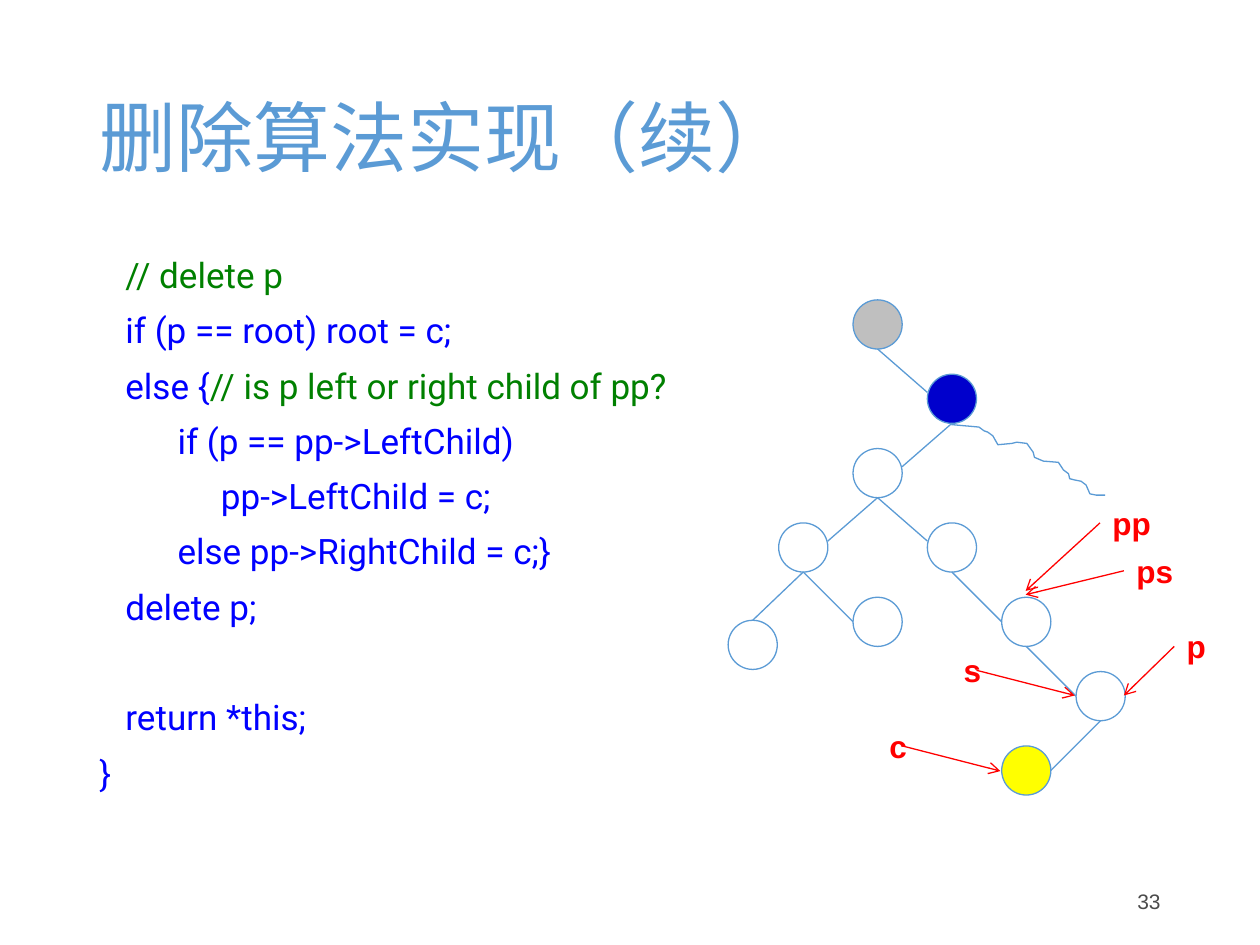
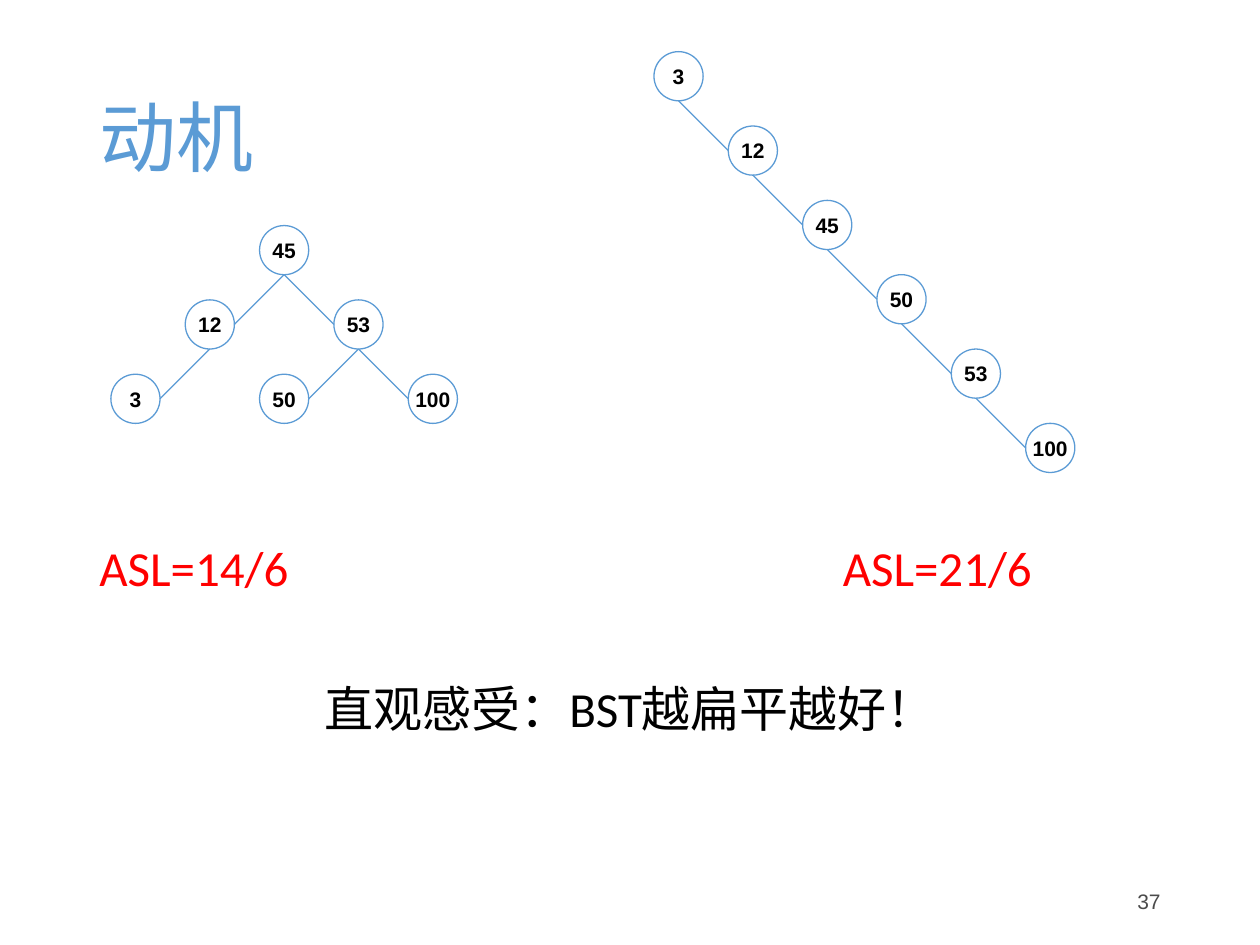
from lxml import etree
from pptx import Presentation
from pptx.dml.color import RGBColor
from pptx.enum.shapes import MSO_CONNECTOR, MSO_SHAPE
from pptx.enum.text import MSO_ANCHOR, PP_ALIGN
from pptx.oxml.ns import qn
from pptx.util import Inches, Pt

STRAIGHT = MSO_CONNECTOR.STRAIGHT
OVAL = MSO_SHAPE.OVAL
TOP, MIDDLE = MSO_ANCHOR.TOP, MSO_ANCHOR.MIDDLE
LEFT, CENTER, RIGHT = PP_ALIGN.LEFT, PP_ALIGN.CENTER, PP_ALIGN.RIGHT

SKY = RGBColor(0x5B, 0x9B, 0xD5)
GREEN = RGBColor(0x00, 0x80, 0x00)
BLUE = RGBColor(0x00, 0x00, 0xFF)
NAVY = RGBColor(0x00, 0x00, 0xCC)
YELLOW = RGBColor(0xFF, 0xFF, 0x00)
SILVER = RGBColor(0xBF, 0xBF, 0xBF)
RED = RGBColor(0xFF, 0x00, 0x00)
BLACK = RGBColor(0x00, 0x00, 0x00)
GRAY = RGBColor(0x4B, 0x4B, 0x4B)

NODE = 0.39
STEP = 0.59
LEFT_SIDE, RIGHT_SIDE = (0, 0.5), (1, 0.5)
UPPER_LEFT, UPPER_RIGHT = (0, 0.37), (1, 0.37)
TOP_POINT = (0.5, 0)


def add_text(slide, box, lines, font, size, anchor=TOP, align=LEFT, bold=False):
    frame = slide.shapes.add_textbox(*[Inches(v) for v in box]).text_frame
    frame.word_wrap = True
    frame.vertical_anchor = anchor
    for index, parts in enumerate(lines):
        paragraph = frame.add_paragraph() if index else frame.paragraphs[0]
        paragraph.alignment = align
        for text, color in parts:
            run = paragraph.add_run()
            run.text = text
            run.font.name = font
            run.font.size = Pt(size)
            run.font.bold = bold
            run.font.color.rgb = color
    return frame.paragraphs


def add_line(slide, start, end, color, arrow=False):
    line = slide.shapes.add_connector(STRAIGHT, *[Inches(v) for v in (*start, *end)])
    line.line.color.rgb = color
    line.line.width = Pt(0.75)
    if arrow:
        etree.SubElement(line.line._get_or_add_ln(), qn("a:tailEnd"), type="arrow")
    etree.SubElement(line._element.spPr, qn("a:effectLst"))


prs = Presentation()
prs.slide_width, prs.slide_height = Inches(10), Inches(7.5)
blank = prs.slide_layouts[6]
deletion, motivation = prs.slides.add_slide(blank), prs.slides.add_slide(blank)

for slide, title, number in [(deletion, "删除算法实现（续）", "33"), (motivation, "动机", "37")]:
    heading = add_text(slide, (0.69, 0.4, 8.62, 1.45), [[(title, SKY)]], "Calibri", 44, MIDDLE)
    heading[0].line_spacing = 0.9
    add_text(slide, (7.06, 6.95, 2.25, 0.4), [[(number, GRAY)]], "Arial", 12, MIDDLE, RIGHT)

code = [
    [("   // delete p", GREEN)],
    [("   if (p == root) root = c;", BLUE)],
    [("   else {", BLUE), ("// is p left or right child of pp?", GREEN)],
    [("         if (p == pp->LeftChild)", BLUE)],
    [("              pp->LeftChild = c;", BLUE)],
    [("         else pp->RightChild = c;}", BLUE)],
    [("   delete p;", BLUE)],
    [("   return *this;", BLUE)],
    [("}", BLUE)],
]
code_lines = add_text(deletion, (0.69, 2, 8.62, 4.76), code, "Roboto", 20)
for paragraph in code_lines:
    paragraph.line_spacing = 0.9
for paragraph in code_lines[1:]:
    paragraph.space_before = Pt(10)
code_lines[7].space_before = Pt(41.5)

asl, conclusion = add_text(
    motivation,
    (0.69, 4.27, 8.62, 2.48),
    [[("ASL=14/6\tASL=21/6", RED)], [("直观感受：BST越扁平越好！", BLACK)]],
    "Calibri",
    28,
)
tabs = etree.SubElement(asl._p.get_or_add_pPr(), qn("a:tabLst"))
etree.SubElement(tabs, qn("a:tab"), pos=str(Inches(5.9)), algn="l")
asl.line_spacing = conclusion.line_spacing = 0.9
conclusion.space_before = Pt(50)
conclusion.alignment = CENTER

# Each node: column, row, parent, edge end, label, fill
search_tree = [
    (1, 0, None, None, "", SILVER),
    (2, 1, 0, UPPER_LEFT, "", NAVY),
    (1, 2, 1, UPPER_RIGHT, "", None),
    (0, 3, 2, UPPER_RIGHT, "", None),
    (2, 3, 2, UPPER_LEFT, "", None),
    (-0.68, 4.31, 3, TOP_POINT, "", None),
    (1, 4, 3, LEFT_SIDE, "", None),
    (3, 4, 4, LEFT_SIDE, "", None),
    (4, 5, 7, LEFT_SIDE, "", None),
    (3, 6, 8, RIGHT_SIDE, "", YELLOW),
]
balanced_tree = [
    (2, 0, None, None, "45", None),
    (1, 1, 0, RIGHT_SIDE, "12", None),
    (3, 1, 0, LEFT_SIDE, "53", None),
    (0, 2, 1, RIGHT_SIDE, "3", None),
    (2, 2, 2, RIGHT_SIDE, "50", None),
    (4, 2, 2, LEFT_SIDE, "100", None),
]
chain_tree = [
    (i, i, i - 1 if i else None, LEFT_SIDE, key, None)
    for i, key in enumerate(["3", "12", "45", "50", "53", "100"])
]

for slide, left, top, nodes in [
    (deletion, 6.18, 2.38, search_tree),
    (motivation, 0.88, 1.79, balanced_tree),
    (motivation, 5.19, 0.41, chain_tree),
]:
    for column, row, parent, edge_end, key, fill in nodes:
        x, y = left + column * STEP, top + row * STEP
        node = slide.shapes.add_shape(OVAL, Inches(x), Inches(y), Inches(NODE), Inches(NODE))
        node.shadow.inherit = False
        node.line.color.rgb = SKY
        node.line.width = Pt(0.75)
        if fill is None:
            node.fill.background()
        else:
            node.fill.solid()
            node.fill.fore_color.rgb = fill
        if key:
            frame = node.text_frame
            frame.margin_left = frame.margin_right = frame.margin_top = frame.margin_bottom = 0
            frame.word_wrap = False
            frame.vertical_anchor = MIDDLE
            frame.text = key
            frame.paragraphs[0].alignment = CENTER
            font = frame.paragraphs[0].runs[0].font
            font.name, font.size, font.bold = "Arial", Pt(12), True
            font.color.rgb = BLACK
        if parent is not None:
            parent_x = left + nodes[parent][0] * STEP
            parent_y = top + nodes[parent][1] * STEP
            start = (parent_x + NODE / 2, parent_y + NODE)
            add_line(slide, start, (x + edge_end[0] * NODE, y + edge_end[1] * NODE), SKY)

subtree_points = [
    (7.55, 3.37), (7.77, 3.39), (7.81, 3.42), (7.84, 3.43), (7.88, 3.46), (7.92, 3.53),
    (8.03, 3.52), (8.07, 3.51), (8.15, 3.52), (8.2, 3.59), (8.21, 3.63), (8.28, 3.66),
    (8.4, 3.67), (8.44, 3.73), (8.48, 3.76), (8.49, 3.8), (8.53, 3.81), (8.58, 3.82),
    (8.62, 3.85), (8.65, 3.92), (8.7, 3.93), (8.77, 3.93),
]
first, *rest = [(Inches(x), Inches(y)) for x, y in subtree_points]
outline = deletion.shapes.build_freeform(*first)
outline.add_line_segments(rest, close=False)
subtree = outline.convert_to_shape()
subtree.shadow.inherit = False
subtree.fill.background()
subtree.line.color.rgb = SKY
subtree.line.width = Pt(0.75)

for pointer, x, y, arrow_offset, target in [
    ("p", 9.32, 4.93, 0, (8.92, 5.52)),
    ("pp", 8.73, 3.95, 0, (8.14, 4.69)),
    ("s", 7.55, 5.12, 0.2, (8.53, 5.52)),
    ("ps", 8.92, 4.33, 0, (8.14, 4.72)),
    ("c", 6.96, 5.72, 0.2, (7.94, 6.12)),
]:
    add_line(deletion, (x + arrow_offset, y + 0.2), target, RED, arrow=True)
    add_text(deletion, (x, y, 0.59, 0.4), [[(pointer, RED)]], "Arial", 18, bold=True)

prs.save("out.pptx")
